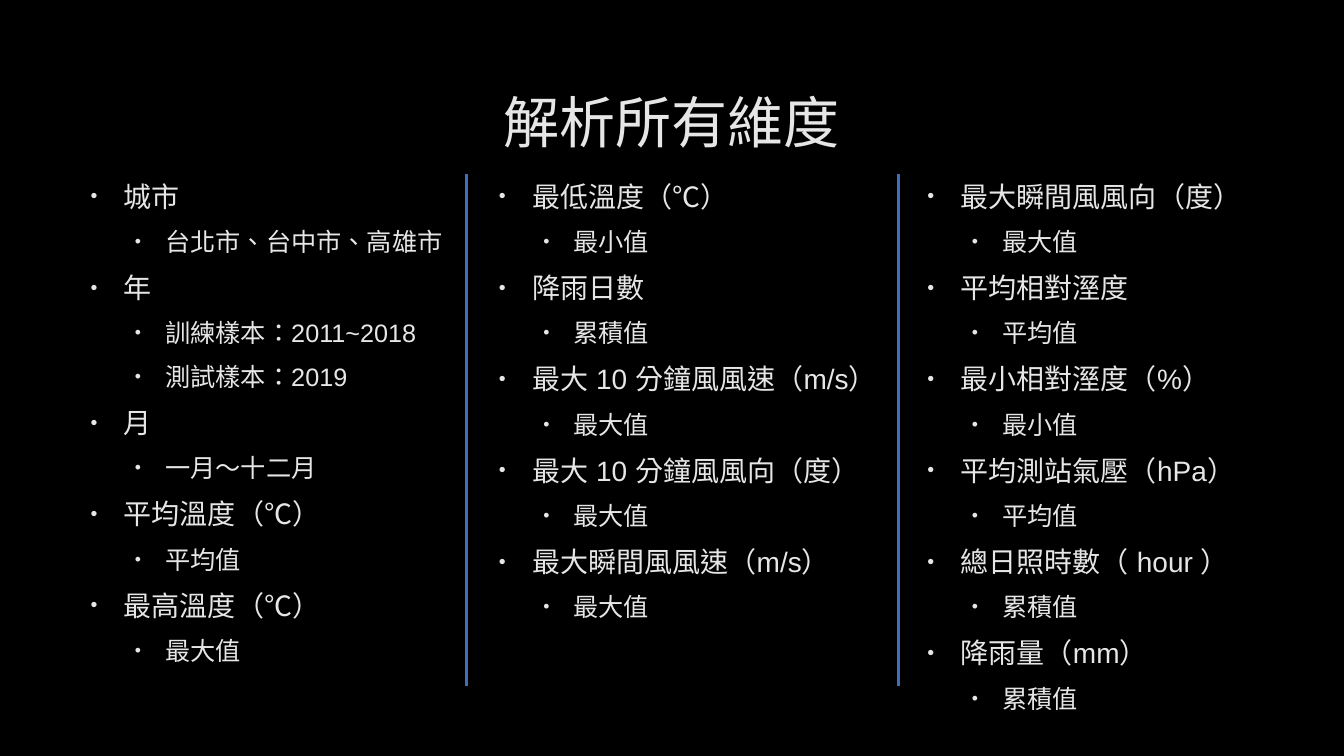
import pptx
import pptx.util
import pptx.dml.color
import pptx.enum.shapes
import pptx.enum.text
import pptx.oxml
import pptx.oxml.ns

Inches = pptx.util.Inches
Pt = pptx.util.Pt
COLORS = {"background": "000000", "text": "E7E6E6", "outline": "404040", "divider": "416DBB"}
NAMESPACE = pptx.oxml.ns.nsdecls("a")
LEVELS = [(20, 0.38, -0.33), (18, 0.79, -0.3)]
TOP = 1.73

COLUMNS = [
    (0.75, 4.45, 5.41, [
        ("城市", ["台北市、台中市、高雄市"]),
        ("年", ["訓練樣本：2011~2018", "測試樣本：2019"]),
        ("月", ["一月～十二月"]),
        ("平均溫度（℃）", ["平均值"]),
        ("最高溫度（℃）", ["最大值"]),
    ]),
    (4.8, 4.45, 5.41, [
        ("最低溫度（℃）", ["最小值"]),
        ("降雨日數", ["累積值"]),
        ("最大 10 分鐘風風速（m/s）", ["最大值"]),
        ("最大 10 分鐘風風向（度）", ["最大值"]),
        ("最大瞬間風風速（m/s）", ["最大值"]),
    ]),
    (9.05, 3.85, 5.77, [
        ("最大瞬間風風向（度）", ["最大值"]),
        ("平均相對溼度", ["平均值"]),
        ("最小相對溼度（%）", ["最小值"]),
        ("平均測站氣壓（hPa）", ["平均值"]),
        ("總日照時數（ hour ）", ["累積值"]),
        ("降雨量（mm）", ["累積值"]),
    ]),
]


def format_text(paragraph, size):
    for run in paragraph.runs:
        run.font.size = Pt(size)
        run.font.name = "Arial"
        run.font.color.rgb = pptx.dml.color.RGBColor.from_string(COLORS["text"])
        properties = run._r.get_or_add_rPr()
        properties.set("lang", "zh-TW")
        properties.insert(0, pptx.oxml.parse_xml(
            f'<a:ln {NAMESPACE} w="9525"><a:solidFill><a:srgbClr val="{COLORS["outline"]}">'
            '<a:alpha val="10000"/></a:srgbClr></a:solidFill></a:ln>'))
        properties.append(pptx.oxml.parse_xml(f'<a:ea {NAMESPACE} typeface="Arial"/>'))


def format_bullet(paragraph, level):
    size, margin, indent = LEVELS[level]
    paragraph.level = level
    properties = paragraph._p.get_or_add_pPr()
    properties.set("marL", str(Inches(margin)))
    properties.set("indent", str(Inches(indent)))
    for element in (
        f'<a:spcBef {NAMESPACE}><a:spcPct val="20000"/></a:spcBef>',
        f'<a:spcAft {NAMESPACE}><a:spcPts val="600"/></a:spcAft>',
        f'<a:buClr {NAMESPACE}><a:srgbClr val="{COLORS["text"]}"/></a:buClr>',
        f'<a:buSzPct {NAMESPACE} val="70000"/>',
        f'<a:buFont {NAMESPACE} typeface="Arial"/>',
        f'<a:buChar {NAMESPACE} char="•"/>',
    ):
        properties.append(pptx.oxml.parse_xml(element))
    format_text(paragraph, size)


presentation = pptx.Presentation()
presentation.slide_width = Inches(13.33)
presentation.slide_height = Inches(7.5)
slide = presentation.slides.add_slide(presentation.slide_layouts[5])
slide.background.fill.solid()
slide.background.fill.fore_color.rgb = pptx.dml.color.RGBColor.from_string(COLORS["background"])

title = slide.shapes.title
title.left, title.top, title.width, title.height = map(Inches, (1, 0.67, 11.32, 1.06))
title.text_frame.text = "解析所有維度"
title.text_frame.vertical_anchor = pptx.enum.text.MSO_ANCHOR.MIDDLE
title.text_frame.paragraphs[0].alignment = pptx.enum.text.PP_ALIGN.CENTER
format_text(title.text_frame.paragraphs[0], 40)

for left, width, height, dimensions in COLUMNS:
    column = slide.shapes.add_textbox(Inches(left), Inches(TOP), Inches(width), Inches(height))
    column.text_frame.word_wrap = True
    entries = []
    for dimension, details in dimensions:
        entries.append((dimension, 0))
        entries.extend((detail, 1) for detail in details)
    column.text_frame.text = "\n".join(text for text, level in entries)
    for paragraph, (text, level) in zip(column.text_frame.paragraphs, entries):
        format_bullet(paragraph, level)

for x in (4.63, 8.91):
    divider = slide.shapes.add_connector(
        pptx.enum.shapes.MSO_CONNECTOR.STRAIGHT, Inches(x), Inches(TOP), Inches(x), Inches(6.81))
    divider.line.color.rgb = pptx.dml.color.RGBColor.from_string(COLORS["divider"])
    divider.line.width = Pt(2.25)
    divider._element.spPr.append(pptx.oxml.parse_xml(f'<a:effectLst {NAMESPACE}/>'))

presentation.save("out.pptx")
